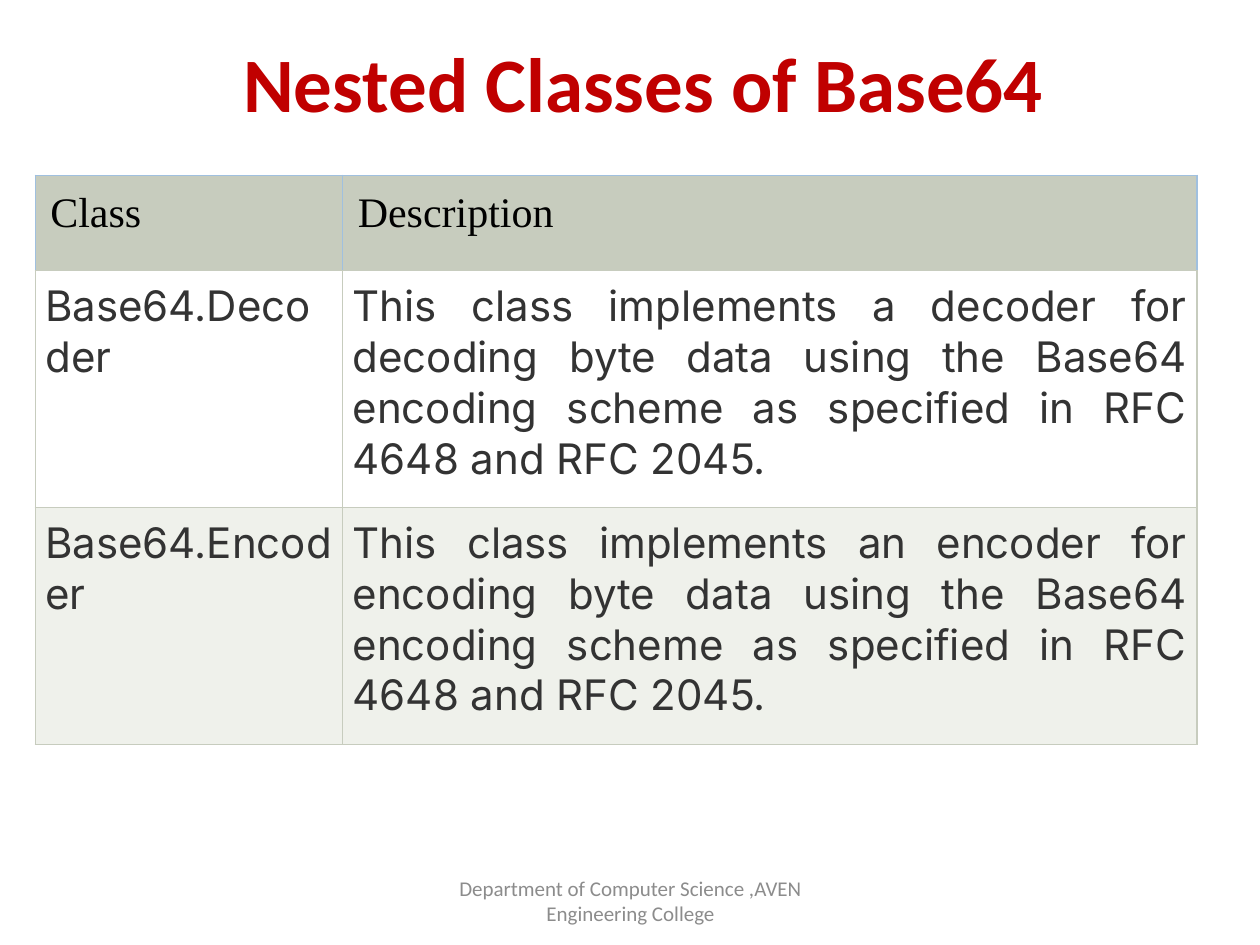
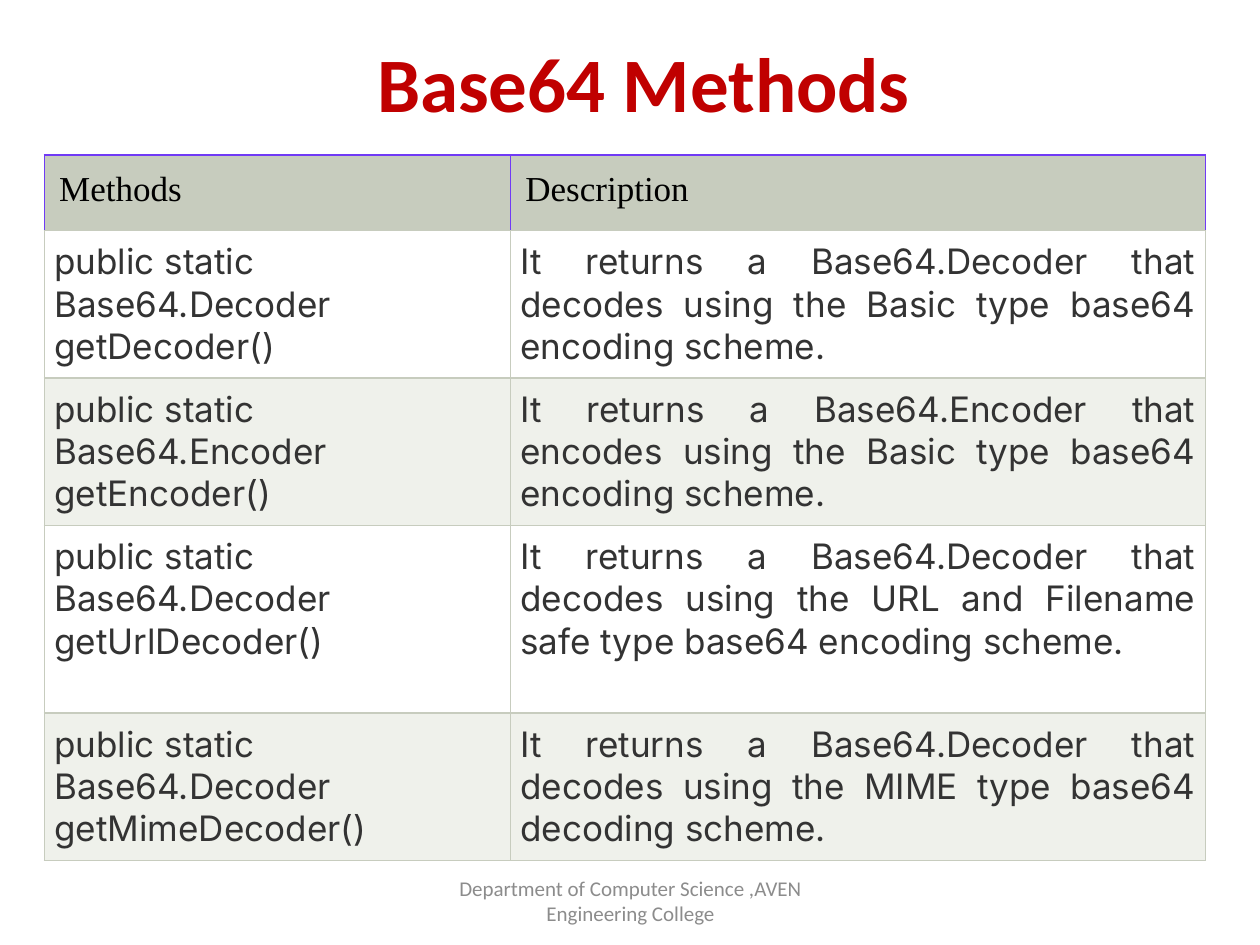
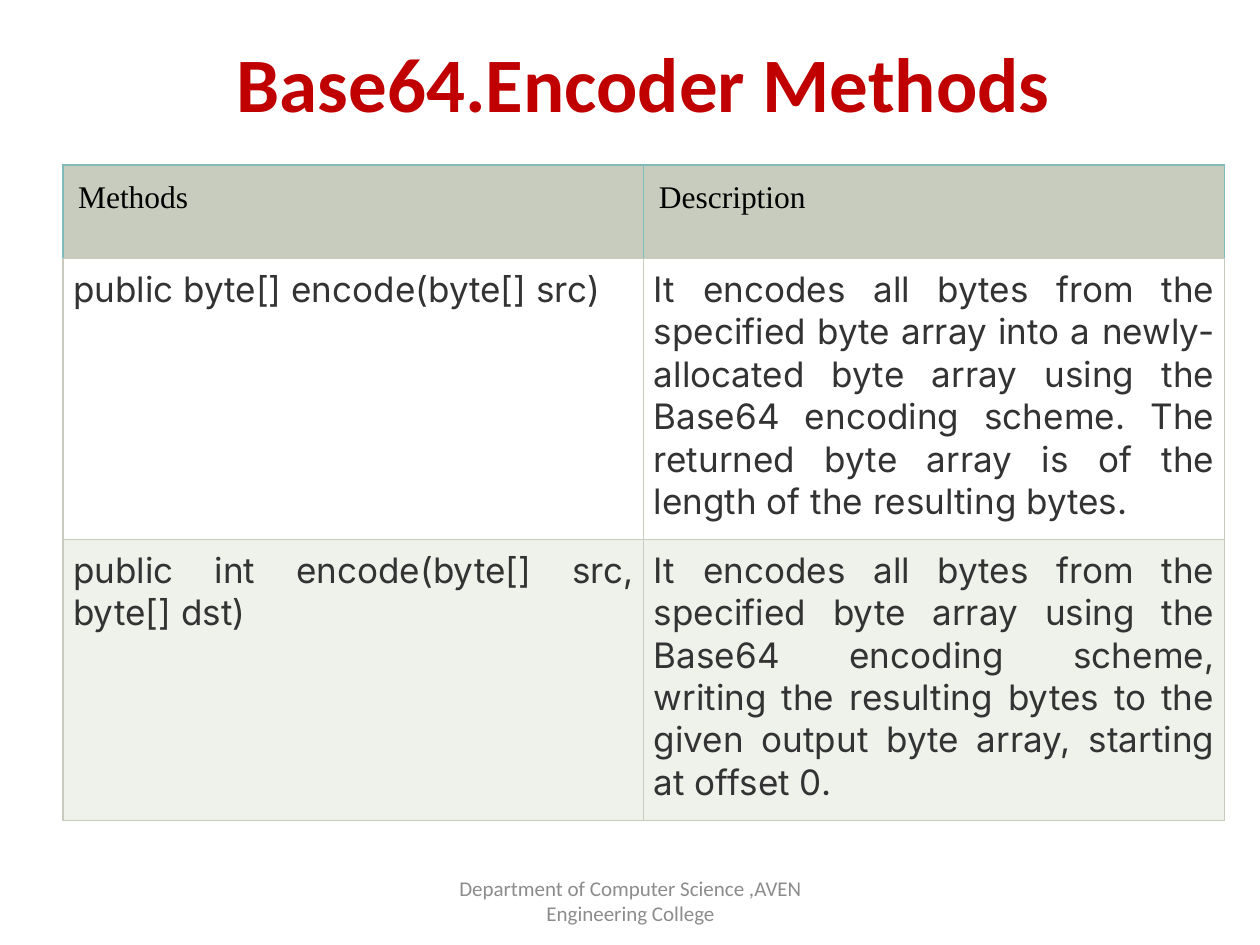
"""Build three slides of Base64 class and method tables."""
import pptx
import pptx.dml.color
import pptx.enum.text
import pptx.oxml
import pptx.oxml.ns
import pptx.util

Inches = pptx.util.Inches
Pt = pptx.util.Pt
ALIGN = pptx.enum.text.PP_ALIGN
ANCHOR = pptx.enum.text.MSO_ANCHOR
FIT = pptx.enum.text.MSO_AUTO_SIZE


def rgb(color):
    return pptx.dml.color.RGBColor.from_string(color)


class Deck:
    TITLE = "C00000"
    FOOTER = "8C8C8C"
    HEAD_TEXT = "000000"
    BODY_TEXT = "333333"
    GRID = "C7CCBE"
    BANDS = ("FFFFFF", "EFF1EB")
    BORDER_WIDTH = 0.75
    FOOTER_TEXT = "Department of Computer Science ,AVEN Engineering College"

    def __init__(self):
        self.prs = pptx.Presentation()
        self.prs.slide_width = Inches(10)
        self.prs.slide_height = Inches(7.5)
        self.s = None

    def add_slide(self, title):
        self.s = self.prs.slides.add_slide(self.prs.slide_layouts[5])
        self.title(title)

    def add_text(self, tf, text, size, font, color, align, bold=False):
        tf.word_wrap = True
        p = tf.paragraphs[0]
        p.alignment = align
        r = p.add_run()
        r.text = text
        r.font.size = Pt(size)
        r.font.name = font
        r.font.bold = bold
        r.font.color.rgb = rgb(color)

    def title(self, text):
        sp = self.s.shapes.title
        sp.left, sp.top = Inches(0.5), Inches(0.3)
        sp.width, sp.height = Inches(9.22), Inches(0.69)
        tf = sp.text_frame
        tf.auto_size = FIT.SHAPE_TO_FIT_TEXT
        tf.vertical_anchor = ANCHOR.MIDDLE
        tf.margin_top, tf.margin_bottom = Inches(0.01), 0
        self.add_text(tf, text, 44, "Calibri", self.TITLE, ALIGN.CENTER, True)

    def footer(self):
        sp = self.s.shapes.add_textbox(Inches(3.42), Inches(6.95), Inches(3.17), Inches(0.4))
        sp.text_frame.vertical_anchor = ANCHOR.MIDDLE
        self.add_text(sp.text_frame, self.FOOTER_TEXT, 12, "Calibri", self.FOOTER, ALIGN.CENTER)

    def borders(self, cell, edge):
        tcPr = cell._tc.get_or_add_tcPr()
        colors = (("L", edge), ("R", edge), ("T", edge), ("B", self.GRID))
        for i, (side, color) in enumerate(colors):
            tcPr.insert(i, pptx.oxml.parse_xml(
                f'<a:ln{side} {pptx.oxml.ns.nsdecls("a")} w="{int(Pt(self.BORDER_WIDTH))}">'
                f'<a:solidFill><a:srgbClr val="{color}"/></a:solidFill></a:ln{side}>'))

    def cell(self, cell, text, size, font, color, align, margin, fill, edge):
        cell.margin_left = cell.margin_right = Inches(margin)
        cell.margin_top = cell.margin_bottom = Inches(margin)
        cell.fill.solid()
        cell.fill.fore_color.rgb = rgb(fill)
        self.borders(cell, edge)
        self.add_text(cell.text_frame, text, size, font, color, align)

    def table(self, left, top, widths, heights, rows, head_size, body_size, head_edge,
              first_align=ALIGN.JUSTIFY):
        frame = self.s.shapes.add_table(len(rows), len(widths), Inches(left), Inches(top),
                                        Inches(sum(widths)), Inches(sum(heights)))
        table = frame.table
        table.first_row = table.horz_banding = False
        for column, width in zip(table.columns, widths):
            column.width = Inches(width)
        for i, (height, texts) in enumerate(zip(heights, rows)):
            table.rows[i].height = Inches(height)
            for j, text in enumerate(texts):
                cell = table.cell(i, j)
                if i == 0:
                    self.cell(cell, text, head_size, "Times New Roman", self.HEAD_TEXT,
                              ALIGN.LEFT, 0.12, self.GRID, head_edge)
                else:
                    self.cell(cell, text, body_size, "Inter", self.BODY_TEXT,
                              ALIGN.JUSTIFY if j else first_align, 0.08,
                              self.BANDS[(i - 1) % 2], self.GRID)


def main():
    deck = Deck()

    deck.add_slide("Nested Classes of Base64")
    deck.table(0.28, 1.39, (2.44, 6.78), (0.76, 1.88, 1.88), (
        ("Class", "Description"),
        ("Base64.Decoder",
         "This class implements a decoder for decoding byte data using the Base64 "
         "encoding scheme as specified in RFC 4648 and RFC 2045."),
        ("Base64.Encoder",
         "This class implements an encoder for encoding byte data using the Base64 "
         "encoding scheme as specified in RFC 4648 and RFC 2045."),
    ), 24, 24, "A0C0DF")
    deck.footer()

    deck.add_slide("Base64 Methods")
    deck.table(0.35, 1.23, (3.7, 5.52), (0.6, 1.17, 1.17, 1.49, 1.17), (
        ("Methods", "Description"),
        ("public static Base64.Decoder getDecoder()",
         "It returns a Base64.Decoder that decodes using the Basic type base64 "
         "encoding scheme."),
        ("public static Base64.Encoder getEncoder()",
         "It returns a Base64.Encoder that encodes using the Basic type base64 "
         "encoding scheme."),
        ("public static Base64.Decoder getUrlDecoder()",
         "It returns a Base64.Decoder that decodes using the URL and Filename safe "
         "type base64 encoding scheme."),
        ("public static Base64.Decoder getMimeDecoder()",
         "It returns a Base64.Decoder that decodes using the MIME type base64 "
         "decoding scheme."),
    ), 20, 20, "703AF5", ALIGN.LEFT)
    deck.footer()

    deck.add_slide("Base64.Encoder Methods")
    deck.table(0.5, 1.31, (4.61, 4.61), (0.74, 2.23, 2.23), (
        ("Methods", "Description"),
        ("public byte[] encode(byte[] src)",
         "It encodes all bytes from the specified byte array into a newly-allocated "
         "byte array using the Base64 encoding scheme. The returned byte array is of "
         "the length of the resulting bytes."),
        ("public int encode(byte[] src, byte[] dst)",
         "It encodes all bytes from the specified byte array using the Base64 encoding "
         "scheme, writing the resulting bytes to the given output byte array, starting "
         "at offset 0."),
    ), 18, 20, "80BBBB")
    deck.footer()

    deck.prs.save("out.pptx")


if __name__ == "__main__":
    main()
